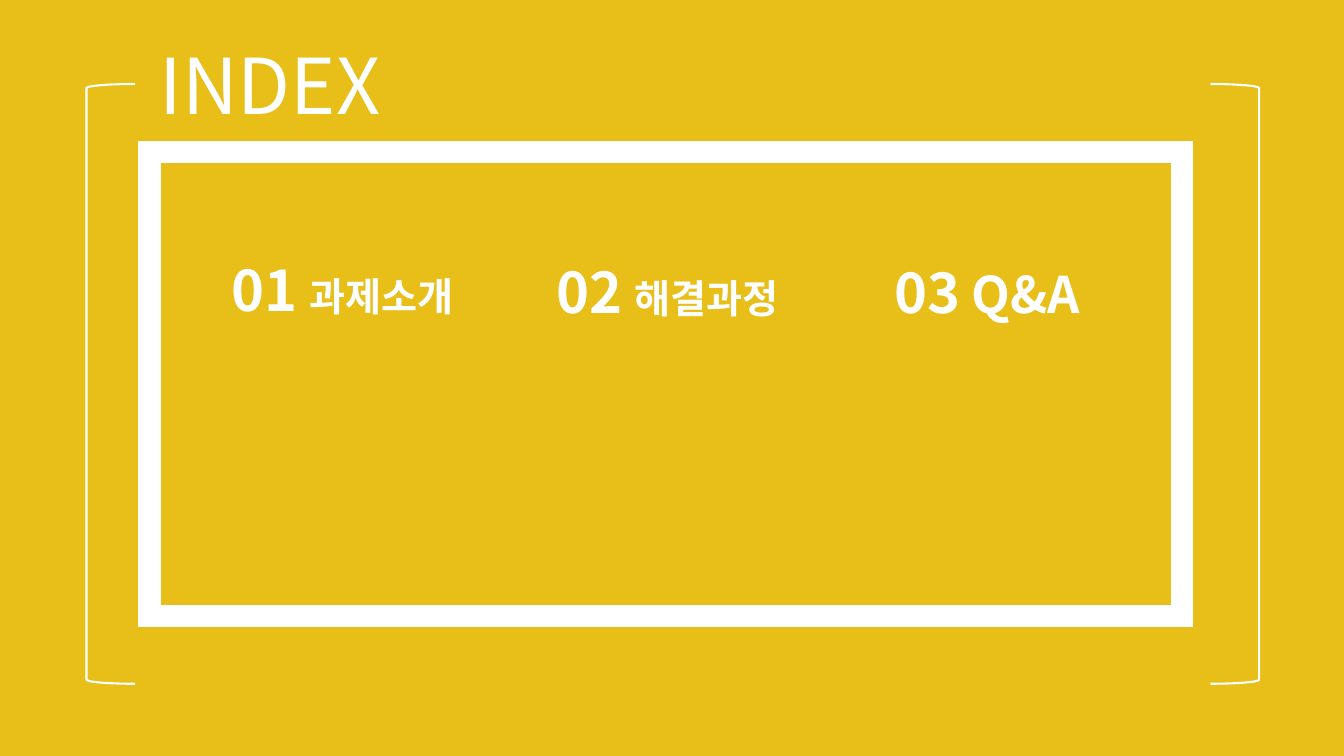
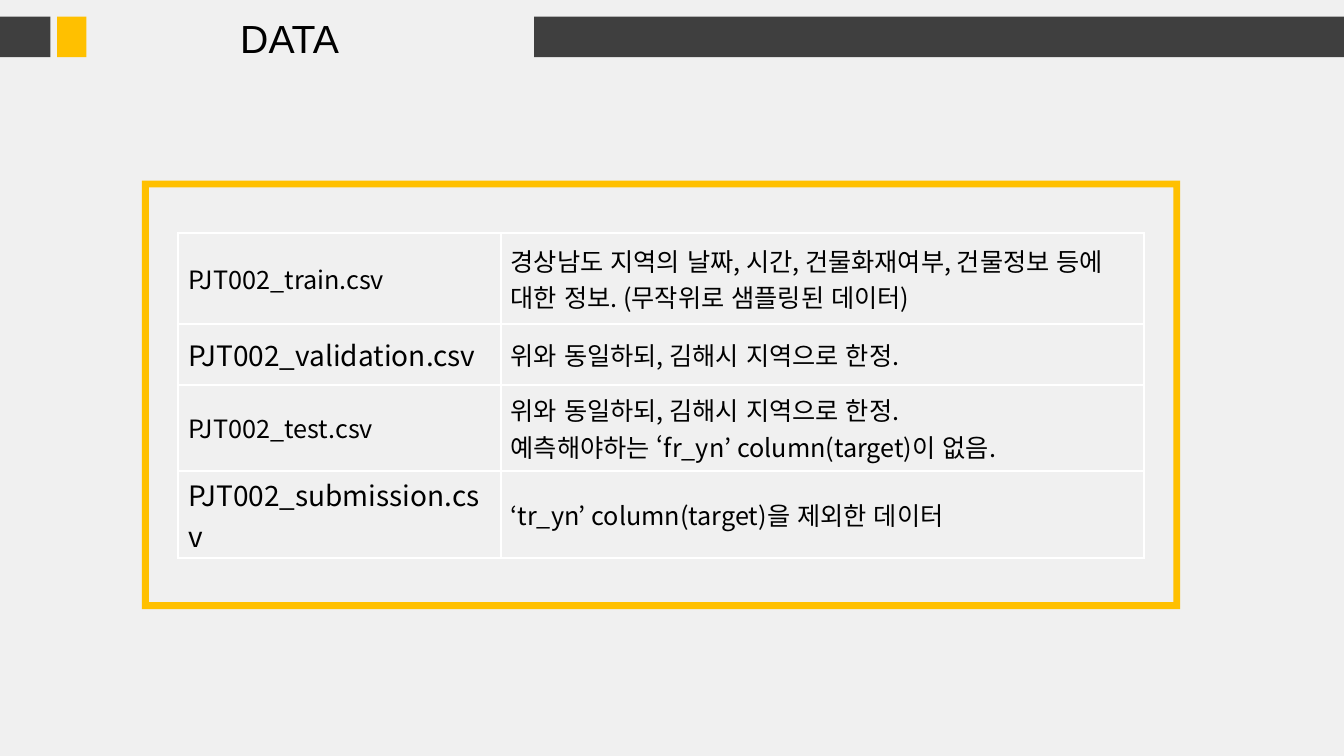
from dataclasses import dataclass
from lxml.etree import SubElement
from pptx import Presentation
from pptx.dml.color import RGBColor
from pptx.enum.lang import MSO_LANGUAGE_ID
from pptx.enum.shapes import MSO_SHAPE
from pptx.enum.text import MSO_ANCHOR, MSO_AUTO_SIZE, PP_ALIGN
from pptx.oxml.ns import qn
from pptx.util import Inches, Pt


@dataclass(frozen=True)
class Theme:
    gold: str = "E8BE18"
    white: str = "FFFFFF"
    pale: str = "F0F0F0"
    dark: str = "3F3F3F"
    amber: str = "FFC000"
    black: str = "000000"
    sans: str = "Noto Sans CJK KR"
    plain: str = "Arial"
    huge: int = 55
    digit: int = 40
    mark: int = 36
    head: int = 28
    cell: int = 18
    large: int = 20
    thick: float = 15.75
    thin: float = 1.5


T = Theme()
COLS, ROWS = 160, 90


class Deck:
    def __init__(self):
        self.deck = Presentation()
        self.deck.slide_width = Inches(13.33)
        self.deck.slide_height = Inches(7.5)
        self.slide = None

    def x(self, cols):
        return round(self.deck.slide_width * cols / COLS)

    def y(self, rows):
        return round(self.deck.slide_height * rows / ROWS)

    def box(self, left, top, width, height):
        return self.x(left), self.y(top), self.x(width), self.y(height)

    def page(self, color):
        self.slide = self.deck.slides.add_slide(self.deck.slide_layouts[5])
        fill = self.slide.background.fill
        fill.solid()
        fill.fore_color.rgb = RGBColor.from_string(color)

    def run(self, para, text, size, color, bold=False, face=T.sans):
        run = para.add_run()
        run.text = text
        font = run.font
        font.size, font.bold, font.name = Pt(size), bold, face
        font.color.rgb = RGBColor.from_string(color)
        font.language_id = MSO_LANGUAGE_ID.KOREAN
        SubElement(run._r.get_or_add_rPr(), qn("a:ea"), typeface=face)

    def frame(self, shape):
        frame = shape.text_frame
        frame.word_wrap = True
        frame.auto_size = MSO_AUTO_SIZE.NONE
        frame.vertical_anchor = MSO_ANCHOR.TOP
        return frame

    def title(self, place, text, size, color, face, space=1.0):
        shape = self.slide.shapes.title
        shape.left, shape.top, shape.width, shape.height = self.box(*place)
        para = self.frame(shape).paragraphs[0]
        para.alignment = PP_ALIGN.LEFT
        para.line_spacing = space
        para.space_before = Pt(0)
        self.run(para, text, size, color, face=face)

    def text(self, place, runs):
        shape = self.slide.shapes.add_textbox(*self.box(*place))
        para = self.frame(shape).paragraphs[0]
        for text, size in runs:
            self.run(para, text, size, T.white, bold=True)

    def shape(self, kind, place, fill=None, line=None, width=0):
        shape = self.slide.shapes.add_shape(kind, *self.box(*place))
        shape.shadow.inherit = False
        if fill:
            shape.fill.solid()
            shape.fill.fore_color.rgb = RGBColor.from_string(fill)
        else:
            shape.fill.background()
        if line:
            shape.line.color.rgb = RGBColor.from_string(line)
            shape.line.width = Pt(width)
            SubElement(shape.line._get_or_add_ln(), qn("a:miter"), lim="800000")
        else:
            shape.line.fill.background()
        return shape

    def edge(self, cell):
        props = cell._tc.get_or_add_tcPr()
        for num, side in enumerate(("lnL", "lnR", "lnT", "lnB")):
            line = props.makeelement(qn("a:" + side), {"w": str(Pt(T.thin))})
            fill = SubElement(line, qn("a:solidFill"))
            SubElement(fill, qn("a:srgbClr"), val=T.white)
            props.insert(num, line)

    def table(self, left, top, wide, high, data):
        place = self.box(left, top, sum(wide), sum(high))
        table = self.slide.shapes.add_table(len(high), len(wide), *place).table
        table.first_row = table.horz_banding = False
        for col, width in zip(table.columns, wide):
            col.width = self.x(width)
        for row, height, cells in zip(table.rows, high, data):
            row.height = self.y(height)
            for cell, (size, *lines) in zip(row.cells, cells):
                cell.fill.background()
                cell.vertical_anchor = MSO_ANCHOR.MIDDLE
                cell.margin_top = cell.margin_bottom = Inches(0.02)
                self.edge(cell)
                frame = cell.text_frame
                for num, text in enumerate(lines):
                    para = frame.add_paragraph() if num else frame.paragraphs[0]
                    self.run(para, text, size, T.black)


def index(deck):
    deck.page(T.gold)
    deck.shape(MSO_SHAPE.RECTANGLE, (17.8, 18.1, 122.9, 55.2),
               line=T.white, width=T.thick)
    deck.title((17.8, 5.1, 29.6, 12.4), "INDEX", T.huge, T.white, T.sans, 0.9)
    for kind, left in ((MSO_SHAPE.LEFT_BRACKET, 10.3),
                       (MSO_SHAPE.RIGHT_BRACKET, 144.1)):
        deck.shape(kind, (left, 10, 5.8, 71.4), line=T.white, width=T.thin)
    heads = (
        (26.4, 29.8, "01", ((" ", T.mark), ("과제소개", T.head))),
        (65.1, 30.1, "02", ((" ", T.mark), ("해결과정", T.head))),
        (105.3, 30.1, "03", ((" Q&A", T.mark),)),
    )
    for left, top, digit, rest in heads:
        deck.text((left, top, 33, 9.2), ((digit, T.digit), *rest))


def data(deck):
    deck.page(T.pale)
    for left, width, color in ((63.6, 96.4, T.dark), (0, 6, T.dark),
                               (6.8, 3.5, T.amber)):
        deck.shape(MSO_SHAPE.RECTANGLE, (left, 2, width, 4.8), fill=color)
    deck.title((27.4, 1.1, 17, 6.8), "DATA", T.head, T.black, T.plain)
    same = "위와 동일하되, 김해시 지역으로 한정."
    deck.table(21.2, 27.7, (38.4, 76.6), (10.9, 7.2, 10.3, 10.3), (
        ((T.cell, "PJT002_train.csv"),
         (T.cell, "경상남도 지역의 날짜, 시간, 건물화재여부, 건물정보 "
                  "등에 대한 정보. (무작위로 샘플링된 데이터)")),
        ((T.large, "PJT002_validation.csv"), (T.cell, same)),
        ((T.cell, "PJT002_test.csv"),
         (T.cell, same, "예측해야하는 ‘fr_yn’ column(target)이 없음.")),
        ((T.large, "PJT002_submission.csv"),
         (T.cell, "‘tr_yn’ column(target)을 제외한 데이터")),
    ))
    rim = deck.shape(MSO_SHAPE.FRAME, (16.9, 21.5, 123.6, 51), fill=T.amber)
    rim.adjustments[0] = 0.016


def main():
    deck = Deck()
    index(deck)
    data(deck)
    deck.deck.save("out.pptx")


if __name__ == "__main__":
    main()
